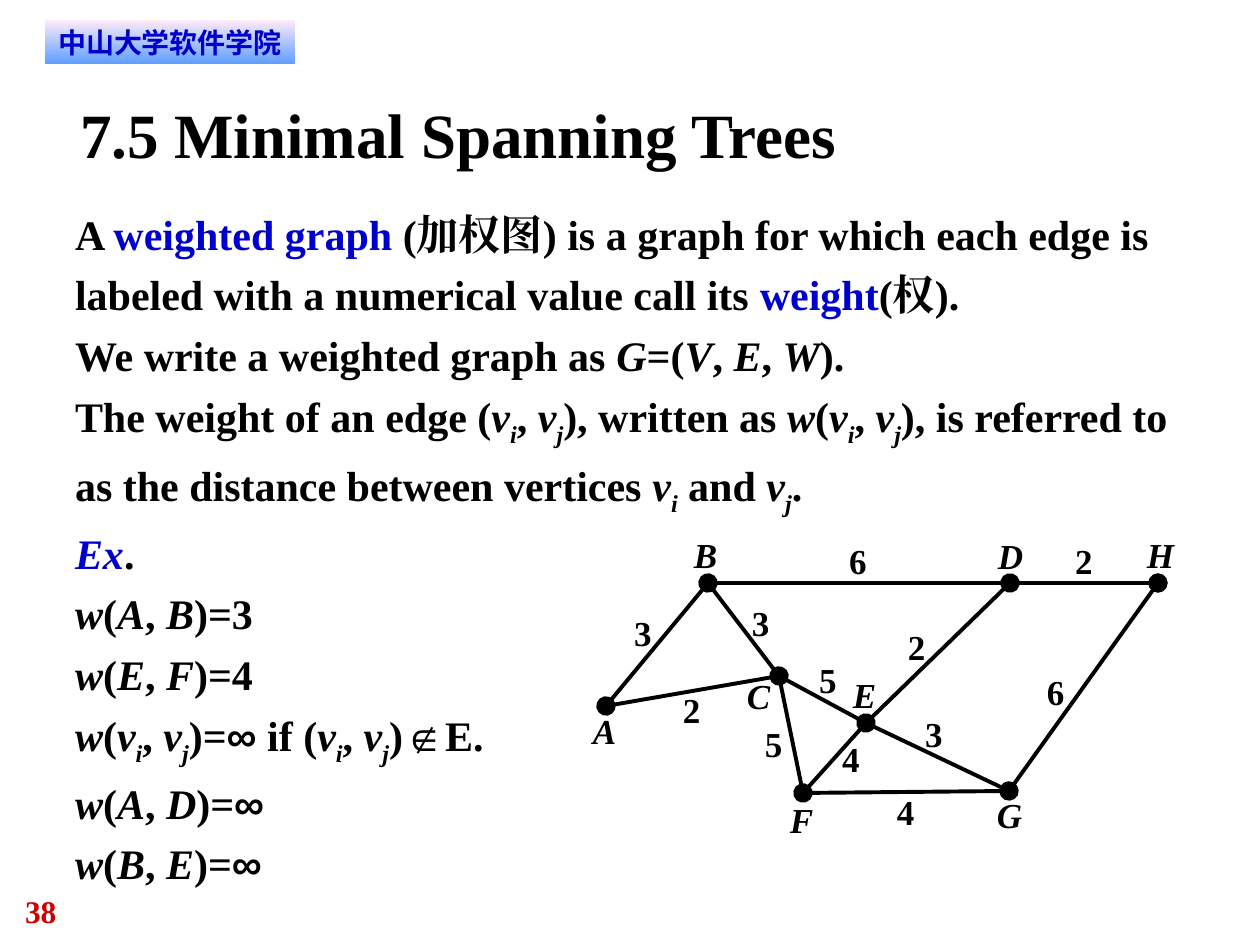
from lxml import etree
from pptx import Presentation
from pptx.dml.color import RGBColor
from pptx.enum.shapes import MSO_CONNECTOR, MSO_SHAPE
from pptx.enum.text import MSO_ANCHOR, MSO_AUTO_SIZE, PP_ALIGN
from pptx.oxml.ns import qn
from pptx.util import Pt

LEFT, CENTER = PP_ALIGN.LEFT, PP_ALIGN.CENTER
TOP, MIDDLE = MSO_ANCHOR.TOP, MSO_ANCHOR.MIDDLE
NO_FIT = MSO_AUTO_SIZE.NONE
RECT, STRAIGHT = MSO_SHAPE.RECTANGLE, MSO_CONNECTOR.STRAIGHT

SCHOOL = "中山大学软件学院"
TITLE = "7.5 Minimal Spanning Trees"
NUMBER = "38"

# Markup: runs split by "|"; first letter * italic, _ subscript, ! term, # italic term, ^ symbol
PAIR = "*v|_i|, |*v|_j"
BODY = [
    "A |!weighted graph| (加权图) is a graph for which each edge is labeled "
    "with a numerical value call its |!weight|(权).",
    "We write a weighted graph as |*G|=(|*V|, |*E|, |*W|).",
    f"The weight of an edge (|{PAIR}|), written as |*w|(|{PAIR}|), is referred to "
    "as the distance between vertices |*v|_i| and |*v|_j|.",
    "#Ex|.",
    "*w|(|*A|, |*B|)=3",
    "*w|(|*E|, |*F|)=4",
    f"*w|(|{PAIR}|)=|^∞| if (|{PAIR}|)|^∉|E.",
    "*w|(|*A|, |*D|)=|^∞",
    "*w|(|*B|, |*E|)=|^∞",
]

VERTICES = {
    "A": ((606, 706), (593, 709)),
    "B": ((708, 583), (694, 533)),
    "C": ((779, 676), (747, 674)),
    "D": ((1010, 583), (998, 534)),
    "E": ((866, 723), (853, 673)),
    "F": ((803, 793), (790, 798)),
    "G": ((1009, 791), (997, 793)),
    "H": ((1158, 583), (1147, 533)),
}
EDGES = [
    ("DE", "2", (908, 625)),
    ("AC", "2", (683, 688)),
    ("BA", "3", (634, 611)),
    ("EF", "4", (842, 737)),
    ("EG", "3", (925, 712)),
    ("DH", "2", (1075, 539)),
    ("BD", "6", (849, 539)),
    ("BC", "3", (752, 601)),
    ("CE", "5", (819, 658)),
    ("CF", "5", (765, 722)),
    ("FG", "4", (897, 790)),
    ("HG", "6", (1047, 670)),
]

THEME = {
    "ink": RGBColor(0, 0, 0),
    "term": RGBColor(0, 0, 0xCC),
    "number": RGBColor(0xCC, 0, 0),
    "gradient": (RGBColor(0xFF, 0xEB, 0xFA), RGBColor(0x5E, 0x9E, 0xFF)),
    "serif": "Times New Roman",
    "symbol": "Arial",
    "cjk": "DejaVu Sans",
    "title": 36, "body": 24, "label": 20, "page": 18, "school": 16,
    "line": 2.25,
}
STYLES = {
    "*": {"italic": True},
    "_": {"italic": True, "sub": True},
    "!": {"color": THEME["term"]},
    "#": {"italic": True, "color": THEME["term"]},
    "^": {"name": THEME["symbol"]},
}


def px(n):
    return round(n * 914400 / 126)


def place(sp, x, y, w, h):
    for key, n in {"left": x, "top": y, "width": w, "height": h}.items():
        setattr(sp, key, px(n))


def frame(sp, anchor=TOP, dx=0, dy=0):
    tf = sp.text_frame
    values = {"word_wrap": True, "auto_size": NO_FIT, "vertical_anchor": anchor,
              "margin_left": px(dx), "margin_right": px(dx),
              "margin_top": px(dy), "margin_bottom": px(dy)}
    for key, value in values.items():
        setattr(tf, key, value)
    return tf


def add_run(p, text, size, name=THEME["serif"], color=THEME["ink"], italic=False, sub=False):
    r = p.add_run()
    r.text = text
    r.font.color.rgb = color
    for key, value in {"size": Pt(size), "name": name, "bold": True, "italic": italic}.items():
        setattr(r.font, key, value)
    rPr = r.font._element
    etree.SubElement(rPr, qn("a:ea")).set("typeface", name)
    if sub:
        rPr.set("baseline", "-25000")


def add_label(shapes, text, x, y, w, h, size, **style):
    sp = shapes.add_textbox(px(x), px(y), px(w), px(h))
    add_run(frame(sp).paragraphs[0], text, size, **style)


def fill_body(sp):
    tf = frame(sp)
    for i, line in enumerate(BODY):
        p = tf.add_paragraph() if i else tf.paragraphs[0]
        pPr = p._p.get_or_add_pPr()
        pPr.set("marL", "0")
        pPr.set("indent", "0")
        etree.SubElement(pPr, qn("a:buNone"))
        for key, value in {"alignment": LEFT, "line_spacing": 1.2, "space_before": Pt(0)}.items():
            setattr(p, key, value)
        for part in line.split("|"):
            style = STYLES.get(part[0], {})
            add_run(p, part[1:] if style else part, THEME["body"], **style)


def add_edge(shapes, start, end, dots):
    c = shapes.add_connector(STRAIGHT, *map(px, start + end))
    c.line.color.rgb = THEME["ink"]
    c.line.width = Pt(THEME["line"])
    spPr = c._element.spPr
    for tag in dots:
        dot = etree.SubElement(spPr.find(qn("a:ln")), qn(tag))
        for key, value in {"type": "oval", "w": "lg", "len": "lg"}.items():
            dot.set(key, value)
    etree.SubElement(spPr, qn("a:effectLst"))


def add_graph(slide):
    shapes = slide.shapes.add_group_shape().shapes
    dotted = set()
    for ends, weight, at in EDGES:
        dots = [tag for v, tag in zip(ends, ("a:headEnd", "a:tailEnd")) if v not in dotted]
        dotted.update(ends)
        start, end = (VERTICES[v][0] for v in ends)
        add_edge(shapes, start, end, dots)
        add_label(shapes, weight, *at, 18, 42, THEME["label"])
    for name, (_, at) in VERTICES.items():
        add_label(shapes, name, *at, 28, 42, THEME["label"], italic=True)


def main():
    prs = Presentation()
    prs.slide_width, prs.slide_height = px(1260), px(945)
    slide = prs.slides.add_slide(prs.slide_layouts[1])
    title, body = slide.placeholders

    add_label(slide.shapes, NUMBER, 25, 892, 95, 38, THEME["page"], color=THEME["number"])

    banner = slide.shapes.add_shape(RECT, px(45), px(20), px(250), px(44))
    banner.shadow.inherit = False
    banner.line.fill.background()
    banner.fill.gradient()
    banner.fill.gradient_angle = 270
    for stop, color in zip(banner.fill.gradient_stops, THEME["gradient"]):
        stop.color.rgb = color
    p = frame(banner, MIDDLE, 10, 5).paragraphs[0]
    p.alignment = CENTER
    add_run(p, SCHOOL, THEME["school"], name=THEME["cjk"], color=THEME["term"])

    place(title, 80, 95, 1102, 76)
    p = frame(title, MIDDLE).paragraphs[0]
    p.alignment = LEFT
    add_run(p, TITLE, THEME["title"])

    place(body, 75, 198, 1126, 690)
    fill_body(body)
    add_graph(slide)
    prs.save("out.pptx")


if __name__ == "__main__":
    main()
